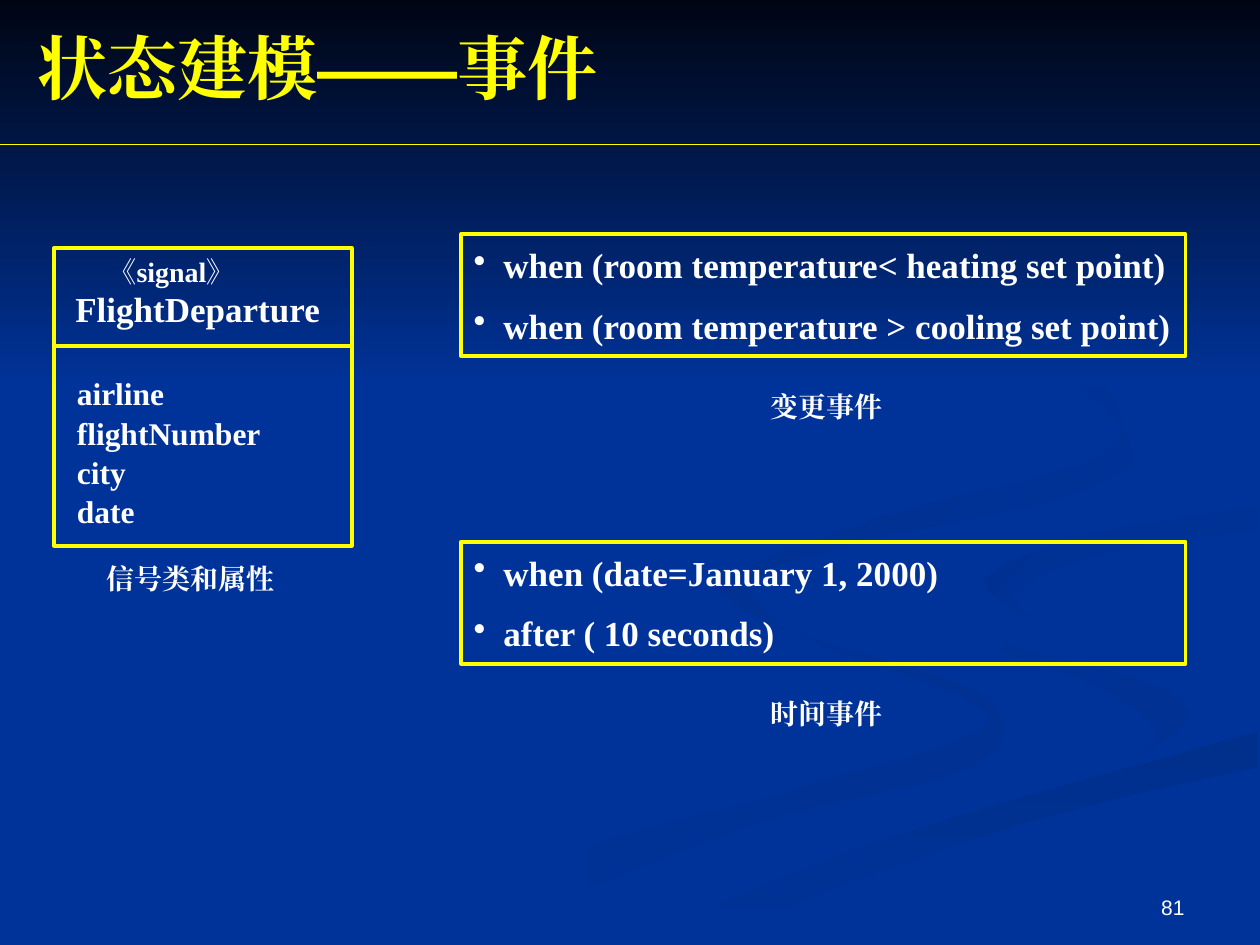
from dataclasses import dataclass

from lxml.etree import SubElement
from pptx import Presentation
from pptx.dml.color import RGBColor
from pptx.enum.shapes import MSO_CONNECTOR, MSO_SHAPE
from pptx.enum.text import MSO_ANCHOR, PP_ALIGN
from pptx.oxml.ns import qn
from pptx.util import Cm, Pt

COLORS = {
    "field": "003399", "night": "000514", "yellow": "FFFF00", "white": "FFFFFF",
    "haze": "003193", "wake": "002F8C", "pool": "003091", "crest": "002F8E",
}
SERIF, SANS = "Times New Roman", "Arial"
HUNDREDTH_INCH = Cm(2.54) / 100
CURVE_STEPS = 6


@dataclass(frozen=True)
class Box:
    left: float
    top: float
    width: float
    height: float

    def lengths(self) -> tuple:
        """Return the four sides as lengths."""
        return Cm(self.left), Cm(self.top), Cm(self.width), Cm(self.height)


@dataclass(frozen=True)
class Swirl:
    start: str
    end: str
    angle: int
    edges: tuple


@dataclass(frozen=True)
class Event:
    top: float
    conditions: tuple
    caption: str


SWIRLS = (
    Swirl("field", "field", 0, (
        ((477, 749), (663, 668), (869, 611), (943, 570), (831, 519), (725, 464),
         (808, 417), (999, 387)),
        ((999, 402), (822, 434), (781, 463), (848, 503), (999, 538)),
        ((999, 581), (765, 647), (503, 749)))),
    Swirl("field", "haze", 0, (
        ((575, 459), (614, 496), (781, 553), (769, 609), (594, 656), (361, 749)),
        ((300, 749), (458, 674), (652, 620), (785, 570), (654, 513), (570, 472)))),
    Swirl("field", "haze", 45, (
        ((724, 464), (774, 503), (905, 540), (943, 570), (894, 605)),
        ((894, 605), (918, 581), (868, 544), (746, 500), (724, 464)))),
    Swirl("wake", "field", 90, (
        ((503, 749), (630, 693), (764, 647), (998, 581)),
        ((998, 609), (821, 651), (649, 710), (571, 749)))),
    Swirl("pool", "field", 45, (
        ((998, 402), (865, 424), (781, 460), (826, 496)),
        ((826, 496), (806, 468), (878, 439), (998, 420)))),
    Swirl("crest", "field", 45, (
        ((622, 500), (596, 461), (683, 430), (855, 391), (894, 344), (762, 233)),
        ((762, 233), (870, 299), (876, 360), (704, 409), (577, 462), (622, 500)))),
)
EVENTS = (
    Event(4.72, ("when (room temperature< heating set point)",
                 "when (room temperature > cooling set point)"), "变更事件"),
    Event(10.92, ("when (date=January 1, 2000)", "after ( 10 seconds)"), "时间事件"),
)


def rgb(name: str) -> RGBColor:
    """Look a colour up by its role."""
    return RGBColor.from_string(COLORS[name])


def shade(shape, start: str, end: str, angle: int) -> None:
    """Fill a borderless shape with a clockwise-angled gradient."""
    shape.shadow.inherit = False
    shape.line.fill.background()
    shape.fill.gradient()
    shape.fill.gradient_angle = (360 - angle) % 360
    for stop, color in zip(shape.fill.gradient_stops, (start, end)):
        stop.color.rgb = rgb(color)


def blend(a: float, b: float, c: float, d: float, t: float) -> float:
    """Return the Catmull-Rom value between b and c."""
    return b + t / 2 * (c - a + t * (2 * a - 5 * b + 4 * c - d
                                     + t * (3 * (b - c) + d - a)))


def smooth_edge(knots: tuple) -> list:
    """Return points along a smooth curve through the knots."""
    padded = (knots[0], *knots, knots[-1])
    curve = [
        tuple(blend(*axis, step / CURVE_STEPS) for axis in zip(*padded[i:i + 4]))
        for i in range(len(knots) - 1) for step in range(CURVE_STEPS)
    ]
    return curve + [knots[-1]]


def draw_swirl(slide, swirl: Swirl) -> None:
    """Draw one closed background ribbon."""
    outline = [point for edge in swirl.edges for point in smooth_edge(edge)]
    builder = slide.shapes.build_freeform(*outline[0], scale=HUNDREDTH_INCH)
    builder.add_line_segments(outline[1:], close=True)
    shade(builder.convert_to_shape(), swirl.start, swirl.end, swirl.angle)


def draw_line(slide, left: float, right: float, y: float, weight: float) -> None:
    """Draw a horizontal yellow line."""
    rule = slide.shapes.add_connector(
        MSO_CONNECTOR.STRAIGHT, Cm(left), Cm(y), Cm(right), Cm(y))
    rule.line.color.rgb = rgb("yellow")
    rule.line.width = Pt(weight)
    SubElement(rule._element.spPr, qn("a:effectLst"))


def draw_frame(slide, box: Box):
    """Draw an unfilled yellow rectangle."""
    frame = slide.shapes.add_shape(MSO_SHAPE.RECTANGLE, *box.lengths())
    frame.shadow.inherit = False
    frame.fill.background()
    frame.line.color.rgb = rgb("yellow")
    frame.line.width = Pt(2.25)
    return frame


def style_run(run, size: float, color: str = "white", face: str = SERIF,
              bold: bool = True) -> None:
    """Set the font of a run for Latin and East Asian text."""
    run.font.size = Pt(size)
    run.font.bold = bold
    run.font.color.rgb = rgb(color)
    run.font.name = face
    SubElement(run._r.get_or_add_rPr(), qn("a:ea"), typeface=face)


def write(shape, text: str, size: float, anchor=MSO_ANCHOR.TOP, **font):
    """Put left-aligned wrapped text into a shape and return its paragraphs."""
    frame = shape.text_frame
    frame.text = text
    frame.word_wrap = True
    frame.vertical_anchor = anchor
    for paragraph in frame.paragraphs:
        paragraph.alignment = PP_ALIGN.LEFT
        for run in paragraph.runs:
            style_run(run, size, **font)
    return frame.paragraphs


def draw_label(slide, box: Box, text: str, size: float, **style):
    """Add a text box and return its paragraphs."""
    return write(slide.shapes.add_textbox(*box.lengths()), text, size, **style)


def draw_event(slide, event: Event) -> None:
    """Draw a framed bullet list with its caption."""
    frame = draw_frame(slide, Box(9.3, event.top, 14.6, 2.46))
    frame.text_frame.margin_right = Cm(0.1)
    conditions = write(frame, "\n".join(event.conditions), 20, MSO_ANCHOR.MIDDLE)
    for paragraph in conditions:
        properties = paragraph._p.get_or_add_pPr()
        properties.set("marL", str(Cm(0.6)))
        properties.set("indent", str(-Cm(0.6)))
        SubElement(properties, qn("a:buChar"), char="•")
    for paragraph in conditions[1:]:
        paragraph.space_before = Pt(10.5)
    draw_label(slide, Box(15.29, event.top + 3, 3.2, 0.94), event.caption, 16)


def draw_signal_class(slide) -> None:
    """Draw the signal class with its attributes and caption."""
    heading = write(draw_frame(slide, Box(1.09, 5, 6, 6)), "《signal》\nFlightDeparture", 20)
    heading[0].runs[0].font.size = Pt(16)
    for paragraph, margin in zip(heading, (0.85, 0.18)):
        paragraph._p.get_or_add_pPr().set("marL", str(Cm(margin)))
    draw_line(slide, 1.09, 7.1, 6.98, 2.25)
    attributes = "airline\nflightNumber\ncity\ndate"
    for paragraph in draw_label(slide, Box(1.3, 7.39, 5, 3.3), attributes, 18):
        paragraph.line_spacing = 1.04
    draw_label(slide, Box(1.9, 11.2, 4.19, 0.94), "信号类和属性", 16)


def main() -> None:
    """Build and save the slide."""
    deck = Presentation()
    deck.slide_width, deck.slide_height = Cm(25.4), Cm(19.05)
    slide = deck.slides.add_slide(deck.slide_layouts[6])
    slide.background.fill.solid()
    slide.background.fill.fore_color.rgb = rgb("field")
    for swirl in SWIRLS:
        draw_swirl(slide, swirl)
    sky = slide.shapes.add_shape(MSO_SHAPE.RECTANGLE, *Box(0, 0, 25.4, 7.82).lengths())
    shade(sky, "night", "field", 90)
    page = draw_label(slide, Box(18.21, 17.35, 5.92, 1.32), "81", 12,
                      anchor=MSO_ANCHOR.BOTTOM, face=SANS, bold=False)
    page[0].alignment = PP_ALIGN.RIGHT
    title = draw_label(slide, Box(0.51, 0.36, 22.86, 1.96), "状态建模", 40,
                       anchor=MSO_ANCHOR.MIDDLE, color="yellow")[0]
    for text, face in (("——", SANS), ("事件", SERIF)):
        run = title.add_run()
        run.text = text
        style_run(run, 40, "yellow", face)
    draw_line(slide, 0, 25.4, 2.92, 0.75)
    for event in EVENTS:
        draw_event(slide, event)
    draw_signal_class(slide)
    deck.save("out.pptx")


if __name__ == "__main__":
    main()
